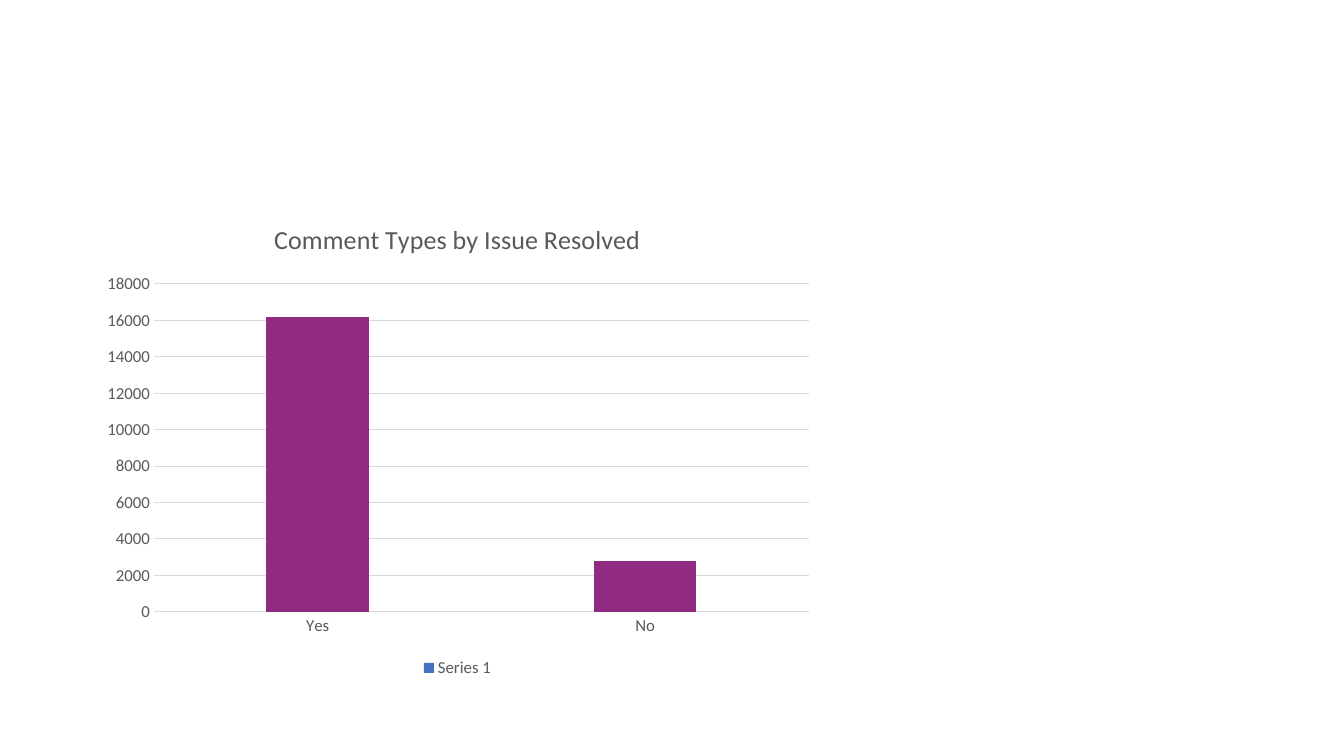
from lxml import etree
from pptx import Presentation
from pptx import util as u
from pptx.chart.data import CategoryChartData
from pptx.dml.color import RGBColor
from pptx.enum import chart as ch
from pptx.oxml.ns import qn

COLORS = {"text": "595959", "grid": "D9D9D9", "series": "4472C4", "bar": "912B81"}
FONT = "Calibri"


def px(n):
    return u.Emu(round(n * 914400 / 100.8))


def style_font(font, size):
    font.name, font.size, font.bold = FONT, u.Pt(size), False
    font.color.rgb = RGBColor.from_string(COLORS["text"])


prs = Presentation()
prs.slide_width, prs.slide_height = px(1344), px(756)
s = prs.slides.add_slide(prs.slide_layouts[6])

# Column chart
data = CategoryChartData()
data.categories = ["Yes", "No"]
data.add_series("Series 1", [16200, 2800])
chart = s.shapes.add_chart(ch.XL_CHART_TYPE.COLUMN_CLUSTERED,
                           px(92), px(202), px(731), px(480), data).chart
style_font(chart.font, 12)

# Title
chart.has_title = True
p = chart.chart_title.text_frame.paragraphs[0]
r = p.add_run()
r.text = "Comment Types by Issue Resolved"
style_font(r.font, 18.6)
chart.chart_title.include_in_layout = False

# Legend
chart.has_legend = True
chart.legend.position = ch.XL_LEGEND_POSITION.BOTTOM
chart.legend.include_in_layout = False
style_font(chart.legend.font, 12)

# Bars
plot = chart.plots[0]
plot.gap_width = 219
plot.vary_by_categories = False
series = plot.series[0]
fills = [(series.format.fill, "series")]
fills += [(series.points[i].format.fill, "bar") for i in range(2)]
for fill, color in fills:
    fill.solid()
    fill.fore_color.rgb = RGBColor.from_string(COLORS[color])

# Axes and gridlines
cat_axis, val_axis = chart.category_axis, chart.value_axis
for axis in (cat_axis, val_axis):
    axis.major_tick_mark = axis.minor_tick_mark = ch.XL_TICK_MARK.NONE
    style_font(axis.tick_labels.font, 12)
val_axis.minimum_scale, val_axis.maximum_scale, val_axis.major_unit = 0, 18000, 2000
val_axis.has_major_gridlines = True
val_axis.format.line.fill.background()
for line in (cat_axis.format.line, val_axis.major_gridlines.format.line):
    line.color.rgb = RGBColor.from_string(COLORS["grid"])
    line.width = u.Pt(0.75)

# Plot area inside the chart, as fractions of its size
plot_area = chart.plots[0]._element.getparent()
for old in plot_area.findall(qn("c:layout")):
    plot_area.remove(old)
layout = etree.Element(qn("c:layout"))
manual = etree.SubElement(layout, qn("c:manualLayout"))
for tag, val in (("layoutTarget", "inner"), ("xMode", "edge"), ("yMode", "edge"),
                 ("x", 62 / 731), ("y", 82 / 480), ("w", 655 / 731), ("h", 328 / 480)):
    etree.SubElement(manual, qn("c:" + tag)).set("val", str(val))
plot_area.insert(0, layout)

prs.save("out.pptx")
